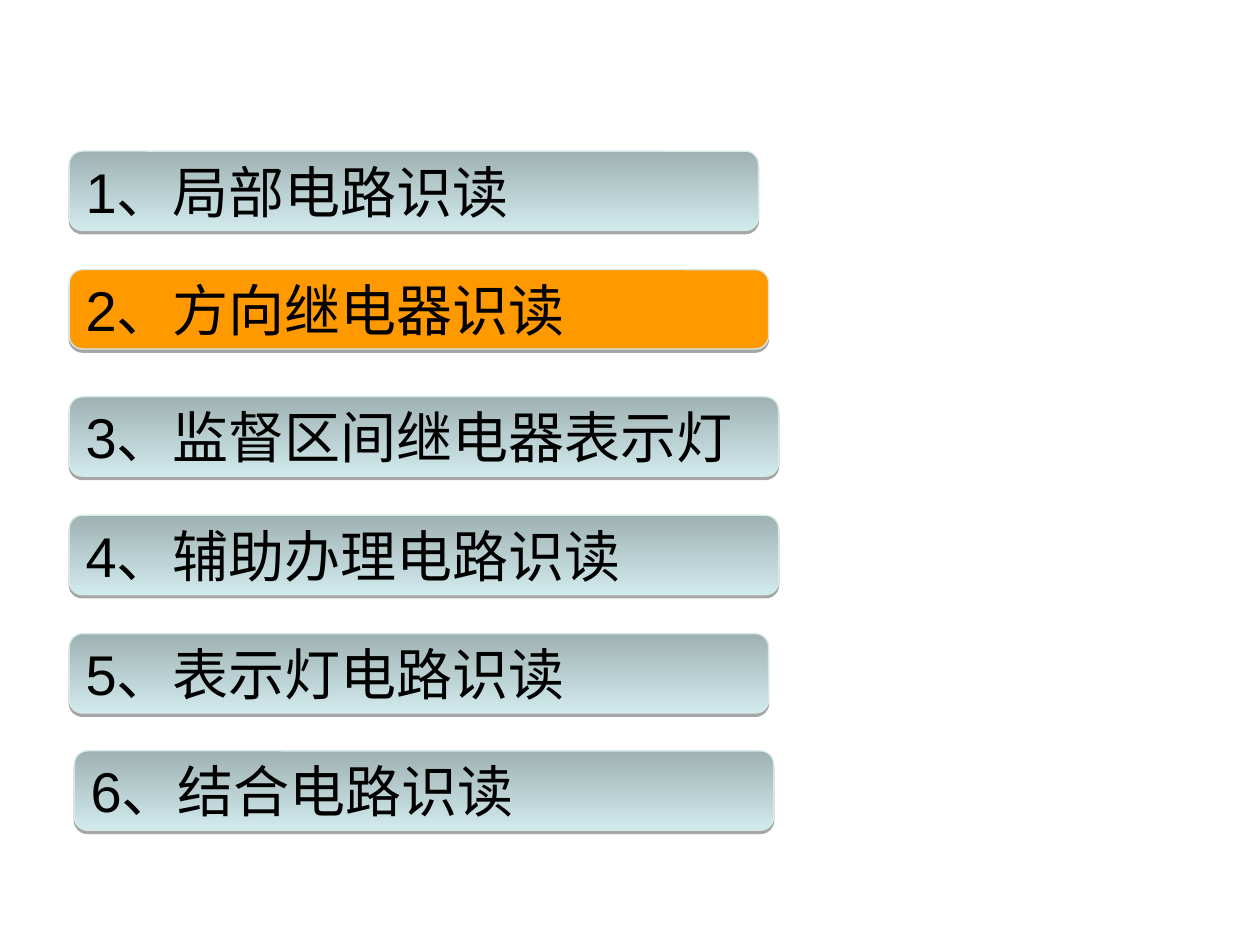
from dataclasses import dataclass

from lxml.etree import SubElement
from pptx import Presentation
from pptx.dml.color import RGBColor
from pptx.enum.shapes import MSO_SHAPE
from pptx.enum.text import MSO_ANCHOR, PP_ALIGN
from pptx.oxml.ns import qn
from pptx.util import Inches, Pt


@dataclass(frozen=True)
class Theme:
    """Colours, font and sizes of the agenda."""
    bar_top: RGBColor = RGBColor.from_string("9FB2B3")
    bar_bottom: RGBColor = RGBColor.from_string("D1EAEC")
    active: RGBColor = RGBColor.from_string("FF9900")
    outline: RGBColor = RGBColor.from_string("D5E8EA")
    text: RGBColor = RGBColor.from_string("000000")
    shadow: str = "000000"
    font: str = "Arial"
    size: Pt = Pt(32)
    line: Pt = Pt(0.75)
    shadow_offset: Pt = Pt(1.8)


THEME = Theme()
BAR_HEIGHT = 0.63
ACTIVE_TOPIC = 2
TOPICS = [
    ("局部电路识读", 0.55, 1.2, 5.47),
    ("方向继电器识读", 0.55, 2.14, 5.55),
    ("监督区间继电器表示灯", 0.55, 3.15, 5.63),
    ("辅助办理电路识读", 0.55, 4.09, 5.63),
    ("表示灯电路识读", 0.55, 5.03, 5.55),
    ("结合电路识读", 0.59, 5.96, 5.55),
]


def fill_bar(sp, active):
    """Fill a bar with the highlight colour or the vertical gradient."""
    if active:
        sp.fill.solid()
        sp.fill.fore_color.rgb = THEME.active
        return
    sp.fill.gradient()
    sp.fill.gradient_angle = 270
    for stop, colour in zip(sp.fill.gradient_stops, (THEME.bar_top, THEME.bar_bottom)):
        stop.color.rgb = colour
    for stop, position in zip(sp.fill.gradient_stops, (0, 1)):
        stop.position = position


def add_drop_shadow(sp):
    """Put a sharp translucent shadow straight below a shape."""
    sp.shadow.inherit = False
    effects = sp._element.spPr.find(qn("a:effectLst"))
    shadow = SubElement(effects, qn("a:outerShdw"), blurRad="0",
                        dist=str(int(THEME.shadow_offset)), dir="5400000",
                        algn="ctr", rotWithShape="0")
    colour = SubElement(shadow, qn("a:srgbClr"), val=THEME.shadow)
    SubElement(colour, qn("a:alpha"), val="34000")


def add_topic_bar(slide, text, left, top, width, active):
    """Add one rounded agenda bar with its text."""
    sp = slide.shapes.add_shape(MSO_SHAPE.ROUNDED_RECTANGLE, Inches(left),
                                Inches(top), Inches(width), Inches(BAR_HEIGHT))
    fill_bar(sp, active)
    sp.line.color.rgb = THEME.outline
    sp.line.width = THEME.line
    add_drop_shadow(sp)
    tf = sp.text_frame
    tf.word_wrap = True
    tf.vertical_anchor = MSO_ANCHOR.MIDDLE
    p = tf.paragraphs[0]
    p.text = text
    p.alignment = PP_ALIGN.LEFT
    p.font.name = THEME.font
    p.font.size = THEME.size
    p.font.color.rgb = THEME.text


def main():
    """Build the agenda slide and save it."""
    prs = Presentation()
    prs.slide_width, prs.slide_height = Inches(10), Inches(7.5)
    slide = prs.slides.add_slide(prs.slide_layouts[6])
    for number, (title, left, top, width) in enumerate(TOPICS, start=1):
        add_topic_bar(slide, f"{number}、{title}", left, top, width,
                      number == ACTIVE_TOPIC)
    prs.save("out.pptx")


if __name__ == "__main__":
    main()
